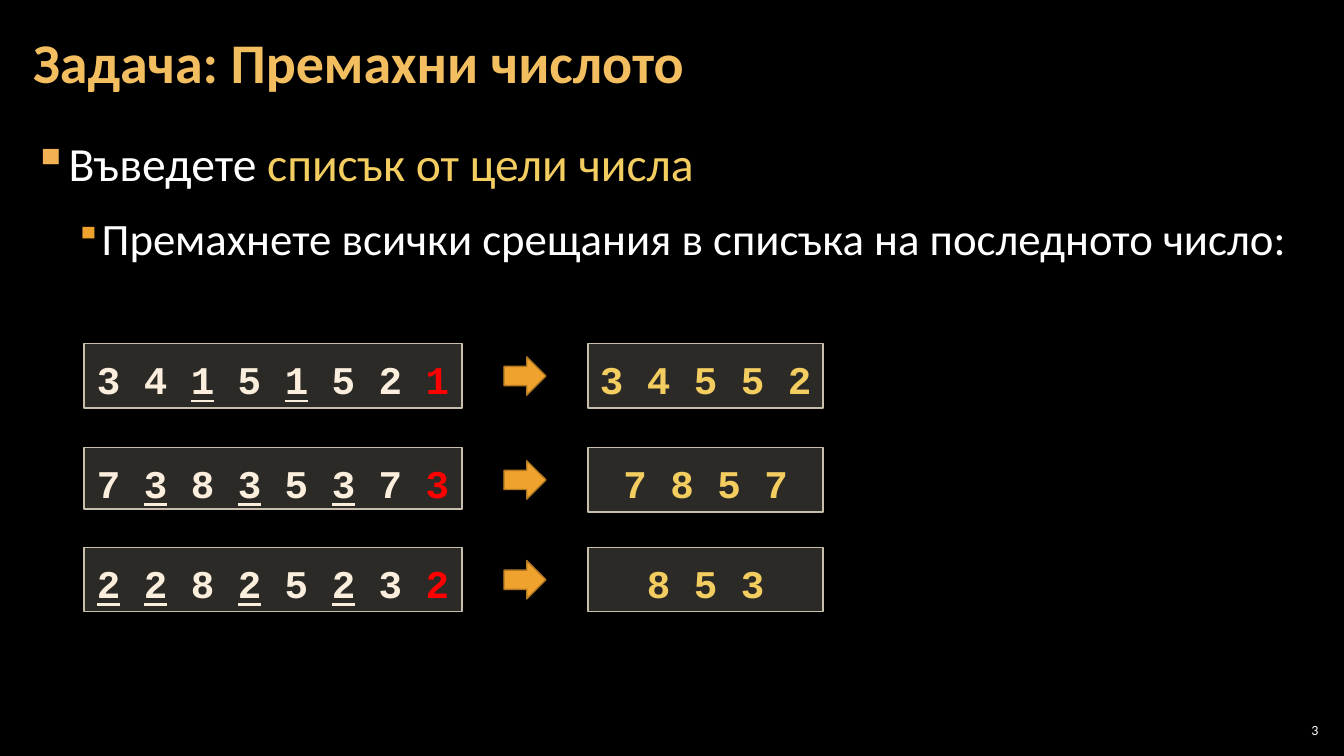
"""Build the slide that sets the task of removing a number from a list."""
from dataclasses import dataclass

from lxml.etree import SubElement as Sub
from pptx import Presentation
from pptx.dml.color import RGBColor as RGB
from pptx.enum.shapes import MSO_SHAPE as Kind
from pptx.enum.text import MSO_ANCHOR as Anchor, PP_ALIGN as Align
from pptx.oxml.ns import qn
from pptx.util import Pt


@dataclass(frozen=True)
class Theme:
    """Colours, fonts and type sizes of the slide."""
    back: str = "000000"
    white: str = "FFFFFF"
    title: str = "F3BE60"
    gold: str = "F3CD60"
    cream: str = "FBEEDC"
    red: str = "FF0000"
    mark: str = "F2B254"
    amber: str = "F0A22E"
    rust: str = "B27822"
    panel: str = "D9D5C7"
    edge: str = "C7BFAC"
    sans: str = "Calibri"
    mono: str = "Courier New"
    head: int = 40
    lead: int = 34
    body: int = 32
    code: int = 28
    foot: int = 10


LOOK = Theme()


def add_run(para, text, size, color, face=LOOK.sans, bold=False, under=False):
    """Add one run of text to a paragraph."""
    run = para.add_run()
    run.text = text
    font = run.font
    font.name, font.size = face, Pt(size)
    font.bold, font.underline = bold, under
    font.color.rgb = RGB.from_string(color)


def add_text(slide, left, top, width, height, side, anchor=Anchor.MIDDLE):
    """Add an empty text box and return its frame."""
    box = slide.shapes.add_textbox(Pt(left), Pt(top), Pt(width), Pt(height))
    frame = box.text_frame
    frame.word_wrap = True
    frame.vertical_anchor = anchor
    frame.margin_left = frame.margin_right = Pt(side)
    frame.margin_top = frame.margin_bottom = Pt(2.9)
    return frame


def add_item(para, runs, size, color, left, hang, scale):
    """Fill a paragraph as a bulleted item made of text and colour pairs."""
    para.line_spacing = 1.05
    para.space_before = para.space_after = Pt(6)
    props = para._p.get_or_add_pPr()
    props.set("marL", str(Pt(left)))
    props.set("indent", str(-Pt(hang)))
    Sub(Sub(props, qn("a:buClr")), qn("a:srgbClr"), val=color)
    Sub(props, qn("a:buSzPct"), val=str(scale * 1000))
    Sub(props, qn("a:buChar"), char="▪")
    for text, tint in runs:
        add_run(para, text, size, tint)


def add_form(slide, kind, left, top, width, height, fill, line):
    """Add a preset shape with a solid fill and a thin line."""
    form = slide.shapes.add_shape(kind, Pt(left), Pt(top), Pt(width), Pt(height))
    form.shadow.inherit = False
    form.fill.solid()
    form.fill.fore_color.rgb = RGB.from_string(fill)
    form.line.color.rgb = RGB.from_string(line)
    form.line.width = Pt(1)
    return form


def add_panel(slide, left, top, width, height):
    """Add a translucent panel and return its paragraph."""
    panel = add_form(slide, Kind.RECTANGLE, left, top, width, height,
                     LOOK.panel, LOOK.edge)
    tint = panel._element.spPr.find(qn("a:solidFill"))[0]
    Sub(tint, qn("a:alpha"), val="20000")
    frame = panel.text_frame
    frame.word_wrap = True
    frame.vertical_anchor = Anchor.TOP
    para = frame.paragraphs[0]
    para.alignment = Align.CENTER
    para.line_spacing = 1.15
    return para


def add_case(slide, top, tall, digits):
    """Add a list, an arrow and the list without its last number."""
    last = digits[-1]
    given = add_panel(slide, 60, top, 270, tall)
    for digit in digits[:-1]:
        add_run(given, digit, LOOK.code, LOOK.cream, LOOK.mono, True,
                digit == last)
        add_run(given, " ", LOOK.code, LOOK.cream, LOOK.mono, True)
    add_run(given, last, LOOK.code, LOOK.red, LOOK.mono, True)
    add_form(slide, Kind.RIGHT_ARROW, 360, top + 9.4, 30, 27.4,
             LOOK.amber, LOOK.rust)
    kept = " ".join(digit for digit in digits if digit != last)
    found = add_panel(slide, 420, top, 168, 46)
    add_run(found, kept, LOOK.code, LOOK.gold, LOOK.mono, True)


def main():
    """Build and save the slide."""
    deck = Presentation()
    deck.slide_width, deck.slide_height = Pt(960), Pt(540)
    slide = deck.slides.add_slide(deck.slide_layouts[6])
    slide.background.fill.solid()
    slide.background.fill.fore_color.rgb = RGB.from_string(LOOK.back)

    page = add_text(slide, 910.8, 514, 33.8, 15, 2.9).paragraphs[0]
    page.alignment = Align.RIGHT
    add_run(page, "3", LOOK.foot, LOOK.white)

    body = add_text(slide, 15, 90.7, 929.5, 438.5, 8.6, Anchor.TOP)
    add_item(body.paragraphs[0],
             [("Въведете ", LOOK.white), ("списък от цели числа", LOOK.gold)],
             LOOK.lead, LOOK.mark, 24, 24, 100)
    item = body.add_paragraph()
    item.level = 1
    add_item(item, [("Премахнете всички срещания в списъка на последното число:",
                     LOOK.white)], LOOK.body, LOOK.amber, 48, 18, 80)

    title = add_text(slide, 15, 3, 754, 87, 8.6).paragraphs[0]
    title.line_spacing = 0.9
    add_run(title, "Задача: Премахни числото", LOOK.head, LOOK.title, bold=True)

    cases = [(245.5, 46, "34151521"), (319.7, 44, "73835373"),
             (391, 46, "22825232")]
    for top, tall, digits in cases:
        add_case(slide, top, tall, digits)
    deck.save("out.pptx")


if __name__ == "__main__":
    main()
